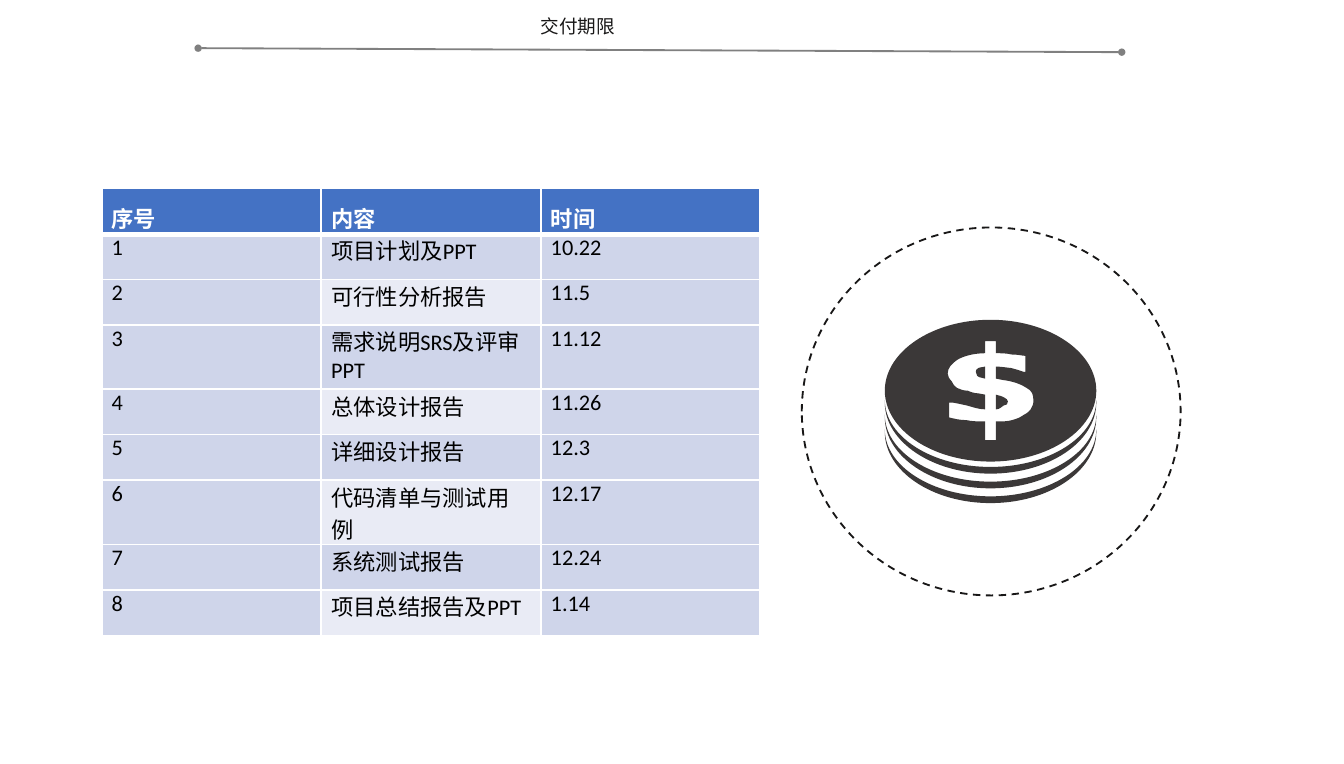
from lxml import etree
from pptx import Presentation
from pptx import util as u
from pptx.dml.color import RGBColor
from pptx.enum import dml, shapes, text
from pptx.oxml import ns

TITLE = "交付期限"
HEADER = ("序号", "内容", "时间")
DELIVERABLES = [
    ("项目计划及PPT", "10.22"),
    ("可行性分析报告", "11.5"),
    ("需求说明SRS及评审PPT", "11.12"),
    ("总体设计报告", "11.26"),
    ("详细设计报告", "12.3"),
    ("代码清单与测试用例", "12.17"),
    ("系统测试报告", "12.24"),
    ("项目总结报告及PPT", "1.14"),
]
TALL_ROWS = (3, 6)
LATIN, CHINESE = "Calibri", "Noto Sans CJK SC"
INK, GREY, WHITE, COIN = "181717", "808080", "FFFFFF", "3B3838"
HEADER_FILL, BAND_DARK, BAND_LIGHT = "4472C4", "CFD5EA", "E9EBF5"

DOLLAR = [
    (7.08, 2.79),
    (7.08, 2.81, 7.09, 2.83, 7.11, 2.85), (7.12, 2.87, 7.13, 2.89, 7.15, 2.9),
    (7.18, 2.91, 7.19, 2.92, 7.23, 2.92), (7.25, 2.93, 7.28, 2.94, 7.31, 2.94),
    (7.36, 2.95), (7.36, 3.06),
    (7.31, 3.06, 7.26, 3.04, 7.22, 3.03), (7.17, 3.02, 7.13, 3.01, 7.12, 3.01),
    (7.09, 3.01), (7.09, 3.12),
    (7.13, 3.13, 7.17, 3.14, 7.22, 3.14), (7.26, 3.15, 7.31, 3.15, 7.36, 3.15),
    (7.36, 3.29), (7.44, 3.29), (7.44, 3.15),
    (7.49, 3.15, 7.53, 3.15, 7.56, 3.14), (7.6, 3.13, 7.62, 3.12, 7.65, 3.1),
    (7.67, 3.09, 7.7, 3.07, 7.71, 3.04), (7.72, 3.03, 7.72, 3.01, 7.72, 2.99),
    (7.72, 2.95, 7.71, 2.92, 7.67, 2.9), (7.64, 2.88, 7.58, 2.85, 7.49, 2.84),
    (7.44, 2.83), (7.44, 2.74),
    (7.49, 2.74, 7.53, 2.75, 7.55, 2.75), (7.59, 2.76, 7.62, 2.77, 7.65, 2.78),
    (7.66, 2.78), (7.66, 2.66),
    (7.64, 2.66, 7.61, 2.65, 7.56, 2.65), (7.52, 2.64, 7.48, 2.64, 7.44, 2.64),
    (7.44, 2.55), (7.36, 2.55), (7.36, 2.64),
    (7.28, 2.64, 7.2, 2.66, 7.15, 2.69), (7.11, 2.72, 7.08, 2.75, 7.08, 2.79),
]
UPPER_COUNTER = [
    (7.36, 2.83), (7.36, 2.74),
    (7.34, 2.74, 7.32, 2.75, 7.31, 2.75), (7.29, 2.76, 7.29, 2.77, 7.29, 2.78),
    (7.29, 2.79, 7.29, 2.8, 7.3, 2.81), (7.31, 2.82, 7.32, 2.82, 7.36, 2.83),
]
LOWER_COUNTER = [
    (7.53, 3),
    (7.53, 2.99, 7.52, 2.98, 7.5, 2.97), (7.49, 2.96, 7.47, 2.96, 7.44, 2.95),
    (7.44, 3.06),
    (7.47, 3.06, 7.48, 3.04, 7.5, 3.03), (7.52, 3.03, 7.53, 3.02, 7.53, 3),
]
COIN_X, COIN_Y, COIN_RX, COIN_RY = 7.4, 2.92, 0.79, 0.53
RIM_Y, RIM_STEP, RIM_COUNT = 2.99, 0.11, 3
ARC_RATIO = 0.55


def color(value):
    return RGBColor.from_string(value)


def style_text(paragraph, latin, size, value, bold=False):
    for run in paragraph.runs:
        run.font.name = latin
        run.font.size = u.Pt(size)
        run.font.bold = bold
        run.font.color.rgb = color(value)
        east_asian = etree.SubElement(run._r.get_or_add_rPr(), ns.qn("a:ea"))
        east_asian.set("typeface", CHINESE)


def set_borders(cell, widths):
    properties = cell._tc.get_or_add_tcPr()
    for side, width in zip("LRTB", widths):
        border = etree.SubElement(properties, ns.qn(f"a:ln{side}"), w=str(u.Pt(width)))
        fill = etree.SubElement(border, ns.qn("a:solidFill"))
        etree.SubElement(fill, ns.qn("a:srgbClr"), val=WHITE)


def half_ellipse(center_y, radius_y, side):
    rx, ry = side * COIN_RX, side * radius_y
    start, end, tip = COIN_X + rx, COIN_X - rx, center_y + ry
    shoulder, inset = center_y + ARC_RATIO * ry, ARC_RATIO * rx
    return [
        (start, center_y),
        (start, shoulder, COIN_X + inset, tip, COIN_X, tip),
        (COIN_X - inset, tip, end, shoulder, end, center_y),
    ]


def rim(top):
    forward = half_ellipse(top, 0.5, 1)
    points = [pair for step in forward for pair in zip(step[::2], step[1::2])][::-1]
    back = [sum(points[i:i + 3], ()) for i in (1, 4)]
    return half_ellipse(top + 0.02, 0.53, 1) + [points[0]] + back


def add_title(slide):
    title = slide.shapes.title
    title.left, title.top = u.Inches(3.94), u.Inches(0.06)
    title.width, title.height = u.Inches(0.76), u.Inches(0.27)
    frame = title.text_frame
    frame.text = TITLE
    frame.word_wrap = False
    frame.auto_size = text.MSO_AUTO_SIZE.SHAPE_TO_FIT_TEXT
    frame.vertical_anchor = text.MSO_ANCHOR.TOP
    paragraph = frame.paragraphs[0]
    paragraph.alignment = text.PP_ALIGN.LEFT
    style_text(paragraph, CHINESE, 10, INK)


def add_rule(slide):
    rule = slide.shapes.add_connector(
        shapes.MSO_CONNECTOR.STRAIGHT,
        u.Inches(1.48), u.Inches(0.36), u.Inches(8.38), u.Inches(0.39))
    rule.line.color.rgb = color(GREY)
    rule.line.width = u.Pt(1)
    line = rule.line._get_or_add_ln()
    for end in ("headEnd", "tailEnd"):
        etree.SubElement(line, ns.qn(f"a:{end}"), type="oval", w="sm", len="sm")
    etree.SubElement(rule._element.spPr, ns.qn("a:effectLst"))


def add_coins(slide):
    face = half_ellipse(COIN_Y, COIN_RY, 1) + half_ellipse(COIN_Y, COIN_RY, -1)[1:]
    contours = [face, DOLLAR, UPPER_COUNTER, LOWER_COUNTER]
    contours += [rim(RIM_Y + index * RIM_STEP) for index in range(RIM_COUNT)]
    builder, sizes = None, []
    for start, *steps in contours:
        origin = [u.Inches(value) for value in start]
        if builder is None:
            builder = slide.shapes.build_freeform(*origin)
        else:
            builder.move_to(*origin)
        points = [pair for step in steps for pair in zip(step[::2], step[1::2])]
        builder.add_line_segments([(u.Inches(x), u.Inches(y)) for x, y in points], close=True)
        sizes += [len(step) // 2 for step in steps]
    coins = builder.convert_to_shape()
    segments = iter(list(coins._element.iter(ns.qn("a:lnTo"))))
    for size in sizes:
        group = [next(segments) for _ in range(size)]
        if size == 3:
            curve = etree.Element(ns.qn("a:cubicBezTo"))
            group[0].addprevious(curve)
            for segment in group:
                curve.append(segment[0])
                segment.getparent().remove(segment)
    coins.shadow.inherit = False
    coins.fill.solid()
    coins.fill.fore_color.rgb = color(COIN)
    coins.line.fill.background()


def add_ring(slide):
    ring = slide.shapes.add_shape(
        shapes.MSO_SHAPE.OVAL,
        u.Inches(5.99), u.Inches(1.7), u.Inches(2.83), u.Inches(2.75))
    ring.shadow.inherit = False
    ring.fill.background()
    ring.line.color.rgb = color(INK)
    ring.line.width = u.Pt(1)
    ring.line.dash_style = dml.MSO_LINE.DASH


def add_schedule(slide):
    rows = [HEADER] + [(str(number), *item) for number, item in enumerate(DELIVERABLES, 1)]
    heights = [0.48 if index in TALL_ROWS else 0.34 for index in range(len(rows))]
    table = slide.shapes.add_table(
        len(rows), len(HEADER), u.Inches(0.76), u.Inches(1.41),
        u.Inches(4.92), u.Inches(sum(heights))).table
    for column in table.columns:
        column.width = u.Inches(1.64)
    for row_index, values in enumerate(rows):
        table.rows[row_index].height = u.Inches(heights[row_index])
        is_header = row_index == 0
        for column_index, value in enumerate(values):
            cell = table.cell(row_index, column_index)
            cell.margin_left = cell.margin_right = u.Pt(5.4)
            cell.margin_top = cell.margin_bottom = 0
            cell.vertical_anchor = text.MSO_ANCHOR.BOTTOM if is_header else text.MSO_ANCHOR.TOP
            set_borders(cell, (1, 1, 3 if row_index == 1 else 1, 3 if is_header else 1))
            is_light = column_index == 1 and row_index % 2 == 0
            cell.fill.solid()
            cell.fill.fore_color.rgb = color(
                HEADER_FILL if is_header else BAND_LIGHT if is_light else BAND_DARK)
            cell.text_frame.text = value
            paragraph = cell.text_frame.paragraphs[0]
            paragraph.space_after = u.Pt(1.8)
            style_text(paragraph, LATIN, 12, WHITE if is_header else "000000", is_header)


def main():
    presentation = Presentation()
    presentation.slide_width = u.Inches(10.04)
    presentation.slide_height = u.Inches(5.71)
    slide = presentation.slides.add_slide(presentation.slide_layouts[5])
    for add_part in (add_title, add_rule, add_coins, add_ring, add_schedule):
        add_part(slide)
    presentation.save("out.pptx")


if __name__ == "__main__":
    main()
